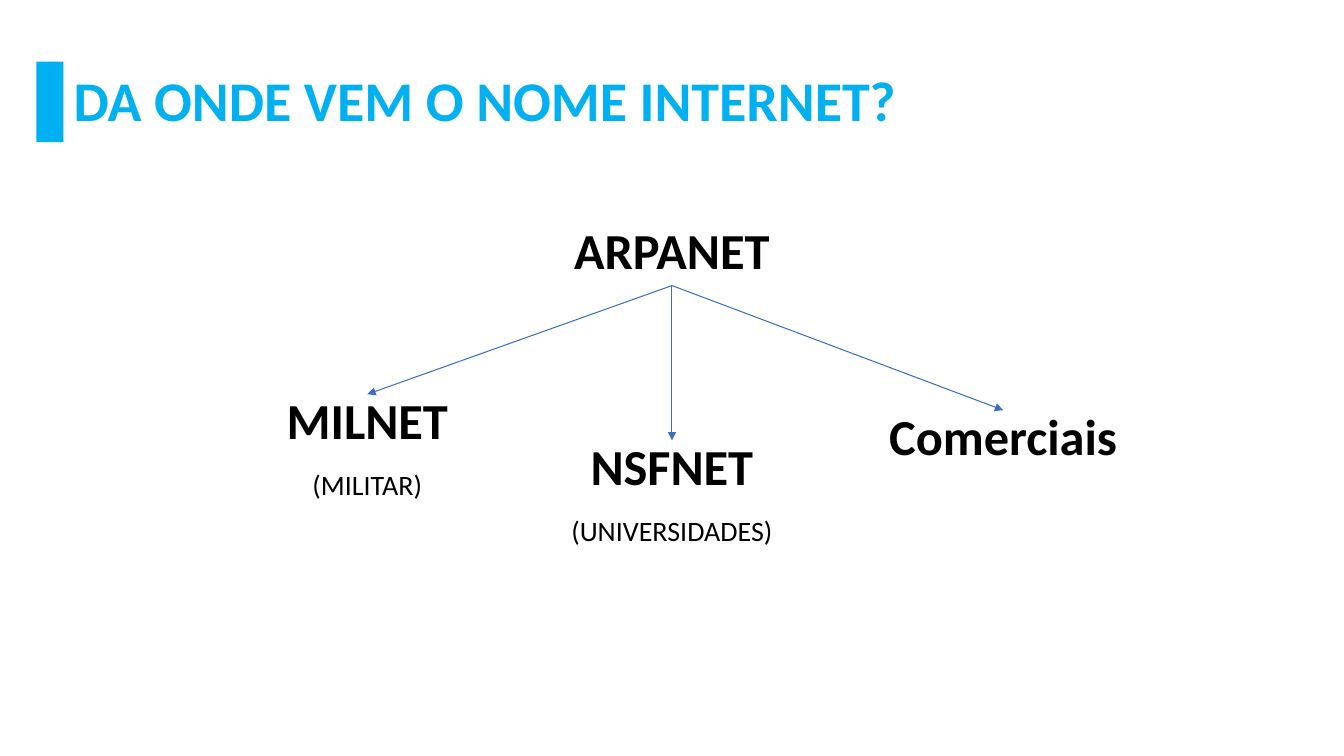
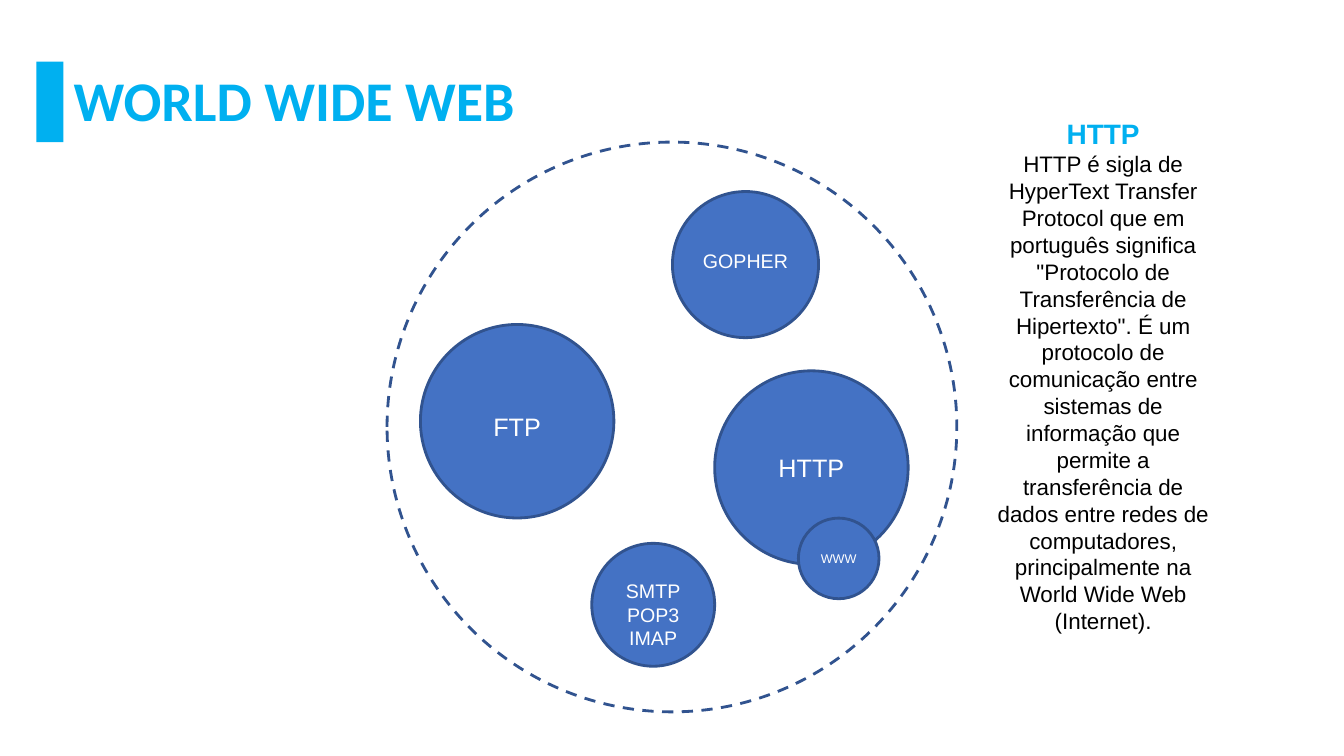
from pptx import Presentation
from pptx.dml.color import RGBColor
from pptx.enum.dml import MSO_LINE
from pptx.enum.shapes import MSO_CONNECTOR, MSO_SHAPE
from pptx.enum.text import MSO_ANCHOR, MSO_AUTO_SIZE, PP_ALIGN
from pptx.oxml.ns import qn
from pptx.util import Pt
from lxml import etree

RECT, OVAL = MSO_SHAPE.RECTANGLE, MSO_SHAPE.OVAL
LINE, DASH = MSO_CONNECTOR.STRAIGHT, MSO_LINE.DASH
LEFT, MID = PP_ALIGN.LEFT, PP_ALIGN.CENTER
TOP, CENTER = MSO_ANCHOR.TOP, MSO_ANCHOR.MIDDLE
FIXED = MSO_AUTO_SIZE.NONE

COLORS = {
    "sky": "00B0F0", "blue": "4472C4", "edge": "31538F",
    "arrow": "3E6EC2", "ink": "000000", "white": "FFFFFF",
}
HEAD, BODY = "Calibri", "Arial"
WIDE, HIGH = 960, 540


def color(name):
    return RGBColor.from_string(COLORS[name])


def write(frame, lines, align=MID, anchor=CENTER, space=1.0):
    """Fill a frame; each line is (text, size, font, color, bold)."""
    frame.word_wrap = True
    frame.auto_size = FIXED
    frame.vertical_anchor = anchor
    for i, (text, size, font, tint, bold) in enumerate(lines):
        para = frame.add_paragraph() if i else frame.paragraphs[0]
        para.alignment = align
        para.line_spacing = space
        run = para.add_run()
        run.text = text
        run.font.size = Pt(size)
        run.font.name = font
        run.font.bold = bold
        run.font.color.rgb = color(tint)


def label(slide, box, lines, **style):
    area = slide.shapes.add_textbox(*map(Pt, box))
    write(area.text_frame, lines, **style)
    return area


def shape(slide, kind, box, fill, edge=None):
    item = slide.shapes.add_shape(kind, *map(Pt, box))
    item.shadow.inherit = False
    item.fill.solid()
    item.fill.fore_color.rgb = color(fill)
    if edge:
        item.line.color.rgb = color(edge)
        item.line.width = Pt(2)
    else:
        item.line.fill.background()
    return item


def arrow(slide, start, end):
    """Join the bottom of one box to the top of another."""
    link = slide.shapes.add_connector(LINE, 0, 0, 0, 0)
    link.begin_connect(start, 2)
    link.end_connect(end, 0)
    link.line.color.rgb = color("arrow")
    link.line.width = Pt(0.75)
    props = link.line._get_or_add_ln()
    etree.SubElement(props, qn("a:tailEnd"), type="triangle")
    etree.SubElement(link._element.spPr, qn("a:effectLst"))


def page(deck, text):
    """Add a slide with the shared title and side bar."""
    slide = deck.slides.add_slide(deck.slide_layouts[5])
    title = slide.shapes.title
    title.left, title.top = Pt(45.4), Pt(21.6)
    title.width, title.height = Pt(641.5), Pt(104.4)
    write(title.text_frame, [(text, 40, HEAD, "sky", True)],
          align=LEFT, space=0.9)
    shape(slide, RECT, (26, 44, 19.4, 57.6), "sky")
    return slide


def tree(slide, x, y, wide):
    """Draw the root network and its branches, centred in a width."""
    w, h = 208, 44
    mid = x + wide / 2

    def node(left, top, text):
        return label(slide, (left, top, w, h),
                     [(text, 36, HEAD, "ink", True)], space=0.8)

    root = node(mid - w / 2, y, "ARPANET")
    # Branches: shift from the middle, drop from the root, name, note
    for shift, drop, name, note in (
        (-217.6, 121.6, "MILNET", "(MILITAR)"),
        (0, 154.6, "NSFNET", "(UNIVERSIDADES)"),
        (236.6, 133, "Comerciais", None),
    ):
        left, top = mid + shift - w / 2, y + drop
        arrow(slide, root, node(left, top, name))
        if note:
            label(slide, (left, top + h, w, h),
                  [(note, 20, HEAD, "ink", False)], space=0.9)


def web(slide, x, y, size):
    """Draw the dashed ring and the protocols inside it."""
    ring = shape(slide, OVAL, (x, y, size, size), "white", "edge")
    ring.line.dash_style = DASH
    # Bubbles: offset in the ring, width, font size, text shift, lines
    for dx, dy, wide, font, shift, names in (
        (23.8, 130.3, 138.2, 18, 4, ["FTP"]),
        (203.8, 35.3, 104.4, 14, -2.5, ["GOPHER"]),
        (146.2, 286.6, 87.8, 14, 7, ["SMTP", "POP3", "IMAP"]),
        (234, 163.4, 138.2, 18, 0, ["HTTP"]),
        (293.8, 268.6, 57.6, 9, 0, ["WWW"]),
    ):
        ball = shape(slide, OVAL, (x + dx, y + dy, wide, wide),
                     "blue", "edge")
        frame = ball.text_frame
        frame.margin_left = frame.margin_right = 0
        frame.margin_top = Pt(max(0, 2 * shift))
        frame.margin_bottom = Pt(max(0, -2 * shift))
        write(frame, [(name, font, BODY, "white", False) for name in names])


def aside(slide, box):
    """Explain the protocol beside the ring."""
    text = (
        "HTTP é sigla de HyperText Transfer Protocol que em português "
        "significa \"Protocolo de Transferência de Hipertexto\". É um "
        "protocolo de comunicação entre sistemas de informação que permite "
        "a transferência de dados entre redes de computadores, "
        "principalmente na World Wide Web (Internet)."
    )
    label(slide, box, [("HTTP", 20, BODY, "sky", True),
                       (text, 16, BODY, "ink", False)], anchor=TOP)


def main():
    deck = Presentation()
    deck.slide_width, deck.slide_height = Pt(WIDE), Pt(HIGH)

    # Origin of the name
    slide = page(deck, "DA ONDE VEM O NOME INTERNET?")
    tree(slide, 0, 160, WIDE)

    # Protocols of the network
    slide = page(deck, "WORLD WIDE WEB")
    web(slide, 276.5, 101.5, 407)
    aside(slide, (702.7, 80, 170.6, 380))

    deck.save("out.pptx")


if __name__ == "__main__":
    main()
